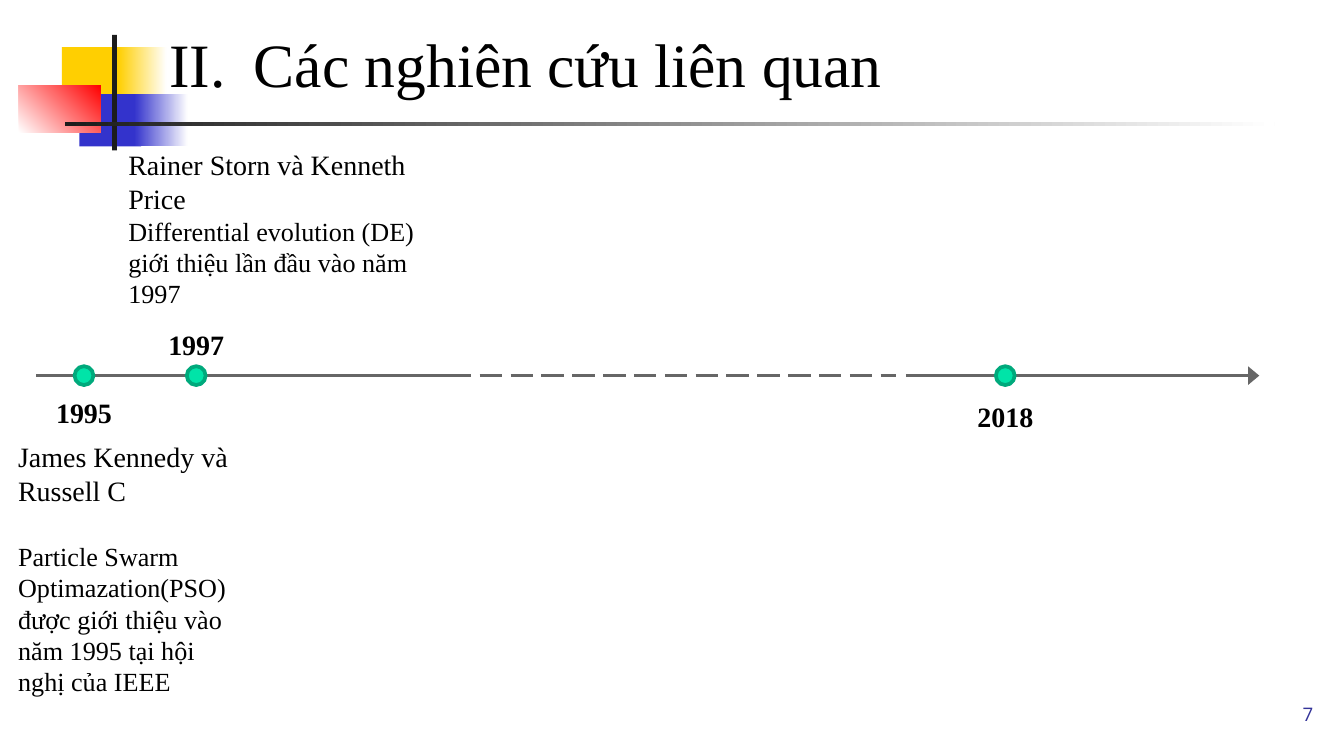
from lxml.etree import SubElement
from pptx import Presentation
from pptx.dml.color import RGBColor
from pptx.enum.dml import MSO_LINE
from pptx.enum.shapes import MSO_CONNECTOR, MSO_SHAPE
from pptx.enum.text import MSO_ANCHOR, PP_ALIGN
from pptx.oxml.ns import qn
from pptx.util import Inches, Pt

COLUMNS, ROWS = 100, 56.25
CELL = 0.1
SERIF = "Times New Roman"

TITLE = "Các nghiên cứu liên quan"
PAGE_NUMBER = "7"

DECORATION = [
    ((4.6, 3.5, 4.8, 3.9), ["FFCF01"], 0),
    ((8.8, 3.5, 3.6, 3.9), ["FFCF01", "FFFFFF"], 0),
    ((5.9, 7, 4.6, 3.9), ["3333CC"], 0),
    ((10, 7, 4, 3.9), ["3333CC", "FFFFFF"], 0),
    ((1.4, 6.35, 6.1, 3.5), ["FFFFFF", "FF0000"], 45),
    ((8.35, 2.6, 0.35, 8.6), ["1C1C1C"], 0),
    ((4.85, 9.1, 90, 0.3), ["1C1C1C", "FFFFFF"], 0),
]

AXIS_ROW = 27.95
AXIS_PARTS = [
    (2.7, 33.4, "solid"),
    (67.4, 93.7, "arrow"),
    (33.4, 66.7, "dashed"),
]

DOT_SIZE = 1.4
YEAR_WIDTH, YEAR_HEIGHT = 8.9, 3.8
EVENTS = [
    {"year": "1995", "column": 6.25, "year_row": 28.15, "area": (0.05, 31.4, 18.4, 20.9), "gap": 18,
     "people": "James Kennedy và Russell C",
     "detail": "Particle Swarm Optimazation(PSO) được giới thiệu vào năm 1995 tại hội nghị của IEEE"},
    {"year": "1997", "column": 14.6, "year_row": 23.15, "area": (8.25, 9.7, 27, 13.4), "gap": 0,
     "people": "Rainer Storn và Kenneth Price",
     "detail": "Differential evolution (DE) giới thiệu lần đầu vào năm 1997"},
    {"year": "2018", "column": 74.8, "year_row": 28.45},
]


def cells(*counts):
    return [Inches(count * CELL) for count in counts]


def color(value):
    return RGBColor.from_string(value)


def add_box(area, inset=0.13, anchor=MSO_ANCHOR.TOP):
    frame = page.shapes.add_textbox(*cells(*area)).text_frame
    frame.word_wrap = True
    frame.vertical_anchor = anchor
    frame.margin_left = frame.margin_right = Inches(inset)
    frame.margin_top = frame.margin_bottom = Inches(inset)
    return frame


def write(para, text, size=15, font=SERIF, fill="000000", bold=False, align=PP_ALIGN.LEFT, before=0):
    para.alignment = align
    para.space_before = Pt(before)
    span = para.add_run()
    span.text = text
    span.font.size = Pt(size)
    span.font.name = font
    span.font.bold = bold
    span.font.color.rgb = color(fill)


def add_shape(kind, area, colors, angle=0, outline=None):
    shape = page.shapes.add_shape(kind, *cells(*area))
    shape.shadow.inherit = False
    if len(colors) == 1:
        shape.fill.solid()
        shape.fill.fore_color.rgb = color(colors[0])
    else:
        shape.fill.gradient()
        shape.fill.gradient_angle = angle
        for stop, value, place in zip(shape.fill.gradient_stops, colors, (0, 1)):
            stop.color.rgb = color(value)
            stop.position = place
    if outline:
        shape.line.color.rgb = color(outline)
        shape.line.width = Pt(2)
    else:
        shape.line.fill.background()


def add_axis_part(start, end, style):
    connector = page.shapes.add_connector(
        MSO_CONNECTOR.STRAIGHT, *cells(start, AXIS_ROW, end, AXIS_ROW))
    connector.line.color.rgb = color("666666")
    connector.line.width = Pt(1.5)
    properties = connector._element.spPr
    if style == "dashed":
        connector.line.dash_style = MSO_LINE.LONG_DASH
    if style == "arrow":
        SubElement(properties.find(qn("a:ln")), qn("a:tailEnd"), type="triangle", w="lg", len="med")
    SubElement(properties, qn("a:effectLst"))


def add_title():
    para = add_box((11.6, 0.75, 85, 7.7), inset=0.1, anchor=MSO_ANCHOR.BOTTOM).paragraphs[0]
    write(para, TITLE, size=33)
    properties = para._p.get_or_add_pPr()
    indent = Inches(0.63)
    properties.set("marL", str(indent))
    properties.set("indent", str(-indent))
    bullet_color = SubElement(properties, qn("a:buClr"))
    SubElement(bullet_color, qn("a:srgbClr"), val="000000")
    SubElement(properties, qn("a:buFont"), typeface=SERIF)
    SubElement(properties, qn("a:buAutoNum"), type="romanUcPeriod", startAt="2")


def add_event(event):
    center = event["column"]
    add_shape(MSO_SHAPE.FLOWCHART_CONNECTOR,
              (center - DOT_SIZE / 2, AXIS_ROW - DOT_SIZE / 2, DOT_SIZE, DOT_SIZE),
              ["00E4A8"], outline="00A97C")
    year = add_box((center - YEAR_WIDTH / 2, event["year_row"], YEAR_WIDTH, YEAR_HEIGHT))
    write(year.paragraphs[0], event["year"], bold=True, align=PP_ALIGN.CENTER)
    if "area" in event:
        story = add_box(event["area"])
        write(story.paragraphs[0], event["people"])
        write(story.add_paragraph(), event["detail"], size=14, before=event["gap"])


deck = Presentation()
deck.slide_width, deck.slide_height = cells(COLUMNS, ROWS)
page = deck.slides.add_slide(deck.slide_layouts[6])

for area, colors, angle in DECORATION:
    add_shape(MSO_SHAPE.RECTANGLE, area, colors, angle)
add_title()
number = add_box((92.7, 51, 6, 4.3), inset=0.1, anchor=MSO_ANCHOR.MIDDLE)
write(number.paragraphs[0], PAGE_NUMBER, size=10, font="Open Sans", fill="333399", align=PP_ALIGN.RIGHT)
for part in AXIS_PARTS:
    add_axis_part(*part)
for event in EVENTS:
    add_event(event)

deck.save("out.pptx")
